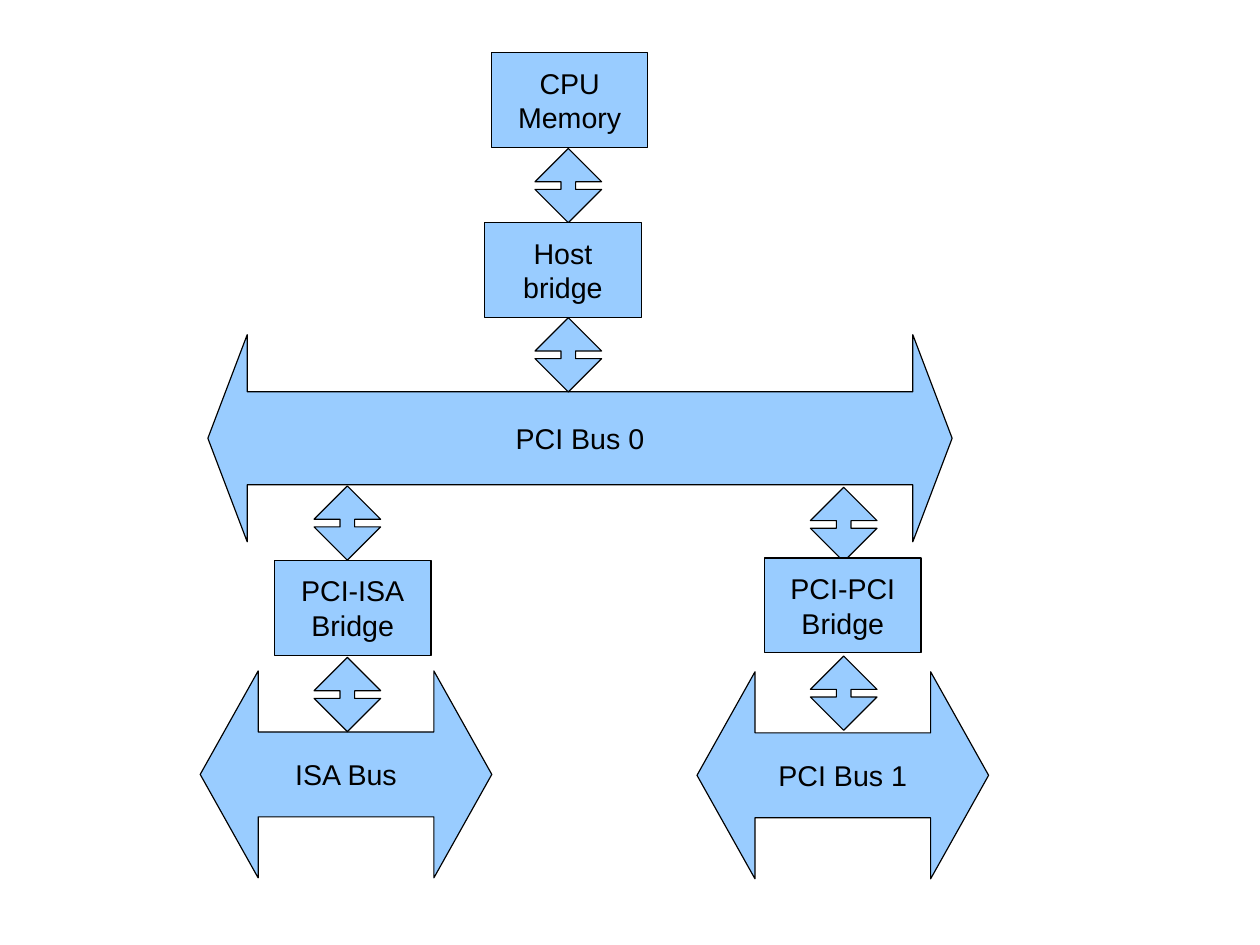
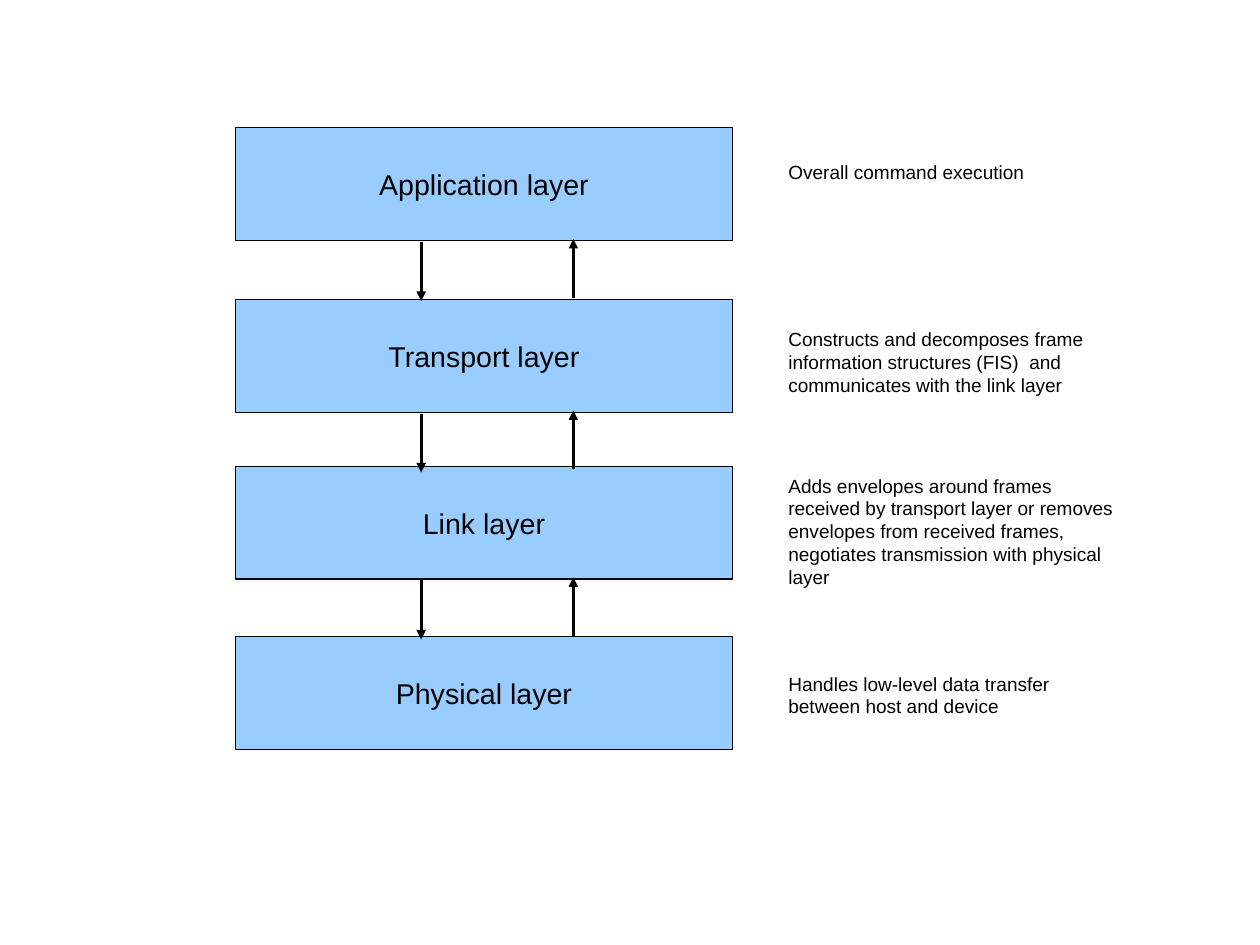
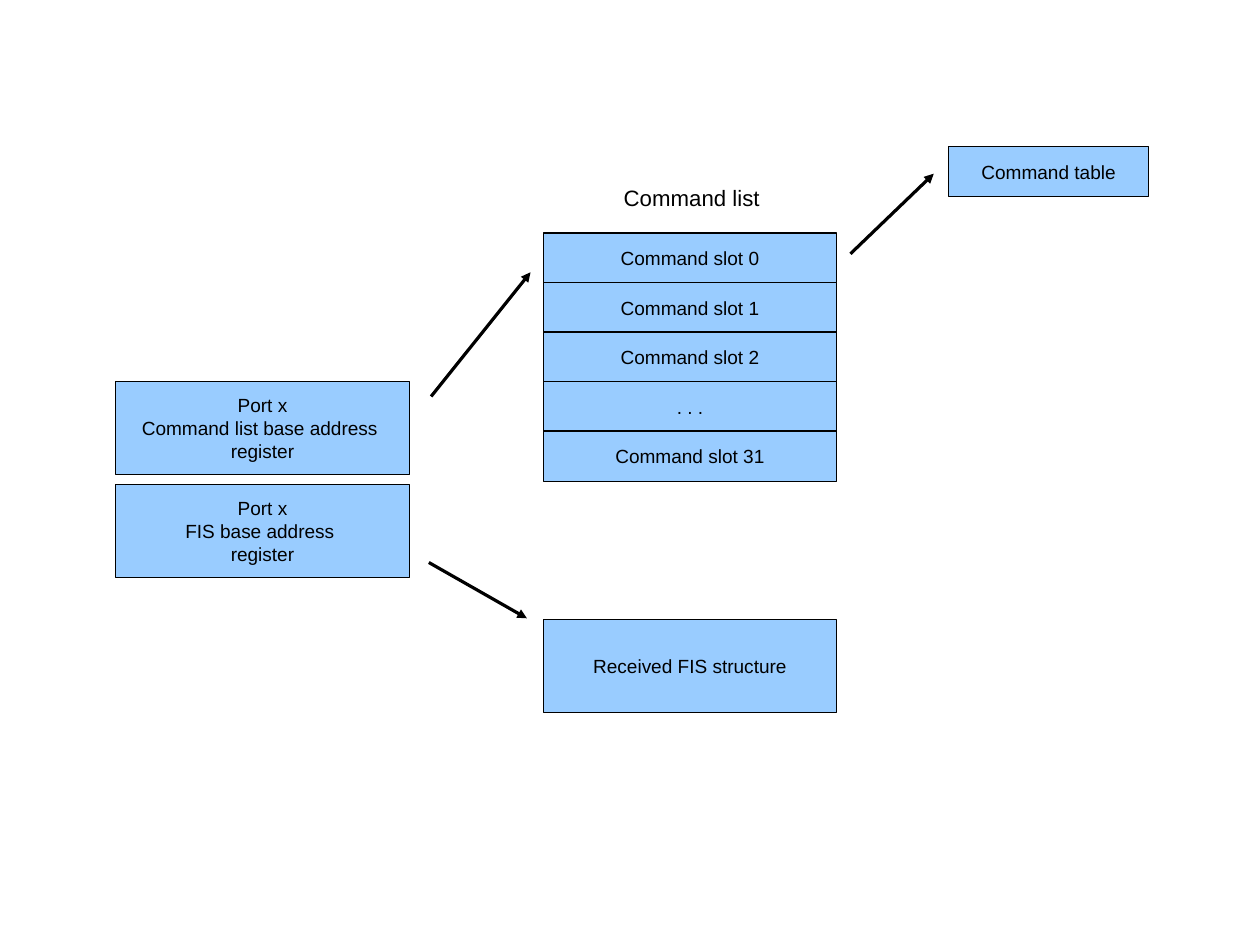
from pptx import Presentation
from pptx.dml.color import RGBColor
from pptx.enum.shapes import MSO_CONNECTOR, MSO_SHAPE
from pptx.enum.text import MSO_ANCHOR, MSO_AUTO_SIZE, PP_ALIGN
from pptx.oxml.ns import qn
from pptx.util import Cm, Pt
from lxml.etree import SubElement

COLORS = {"block": "99CCFF", "ink": "000000"}
FONT = "Arial"

# Bus topology: lengths in cm
BUSES = [  # label, left, top, width, shaft and head proportions
    ("PCI Bus 0", 4.62, 7.44, 16.54, (0.45, 0.19)),
    ("PCI Bus 1", 15.49, 14.93, 6.48, (0.41, 0.28)),
    ("ISA Bus", 4.45, 14.91, 6.48, (0.41, 0.28)),
]
BUS_HEIGHT = 4.6
BRIDGES = [  # label, left, top
    ("CPU\vMemory", 10.92, 1.17),
    ("Host\vbridge", 10.77, 4.95),
    ("PCI-ISA\vBridge", 6.1, 12.45),
    ("PCI-PCI\vBridge", 16.99, 12.4),
]
BRIDGE_SIZE = (3.48, 2.11)
LINKS = [  # left, tops of the arrows above and below a bridge
    (11.89, (3.3, 7.06)),
    (6.98, (10.8, 14.61)),
    (18.01, (10.83, 14.58)),
]
LINK_SIZE = (1.48, 1.65)

# Protocol layers: name, top, description, top of description
LAYERS = [
    ("Application layer", 2.84, "Overall command execution", 3.45),
    ("Transport layer", 6.65,
     "Constructs and decomposes frame information structures (FIS)  and "
     "communicates with the link layer", 7.16),
    ("Link layer", 10.36,
     "Adds envelopes around frames received by transport layer or removes "
     "envelopes from received frames, negotiates transmission with physical "
     "layer", 10.41),
    ("Physical layer", 14.15,
     "Handles low-level data transfer between host and device", 14.81),
]
LAYER_LEFT, LAYER_WIDTH, LAYER_HEIGHT = 5.23, 11.05, 2.51
DOWN_X, UP_X, FLOW_LENGTH = 9.36, 12.74, 1.31

# Port memory structures
REGISTERS = [
    ("Port x\nCommand list base address \nregister", 8.48),
    ("Port x\nFIS base address \nregister", 10.77),
]
SLOTS = ["Command slot 0", "Command slot 1", "Command slot 2", ". . .",
         "Command slot 31"]
REGISTER_LEFT, MEMORY_LEFT, MEMORY_WIDTH = 2.57, 12.07, 6.53
SLOT_TOP, SLOT_PITCH, SLOT_HEIGHT, REGISTER_HEIGHT = 5.18, 1.1, 1.12, 2.06
POINTERS = [
    ((9.58, 8.81), (11.79, 6.05)),
    ((18.9, 5.64), (20.75, 3.86)),
    ((9.53, 12.5), (11.71, 13.74)),
]


def rgb(name):
    return RGBColor.from_string(COLORS[name])


def write(frame, text, size, align):
    frame.text = text
    for paragraph in frame.paragraphs:
        paragraph.alignment = align
        paragraph.font.name = FONT
        paragraph.font.size = Pt(size)
        paragraph.font.color.rgb = rgb("ink")


def add_block(slide, box, text="", size=18, kind=MSO_SHAPE.RECTANGLE,
              proportions=()):
    block = slide.shapes.add_shape(kind, *map(Cm, box))
    block.shadow.inherit = False
    block.fill.solid()
    block.fill.fore_color.rgb = rgb("block")
    block.line.color.rgb = rgb("ink")
    block.line.width = Pt(0)
    for index, value in enumerate(proportions):
        block.adjustments[index] = value
    if text:
        block.text_frame.word_wrap = False
        block.text_frame.vertical_anchor = MSO_ANCHOR.MIDDLE
        write(block.text_frame, text, size, PP_ALIGN.CENTER)


def add_label(slide, box, text, size=12):
    frame = slide.shapes.add_textbox(*map(Cm, box)).text_frame
    frame.word_wrap = True
    frame.auto_size = MSO_AUTO_SIZE.SHAPE_TO_FIT_TEXT
    write(frame, text, size, PP_ALIGN.LEFT)


def add_arrow(slide, start, end):
    arrow = slide.shapes.add_connector(
        MSO_CONNECTOR.STRAIGHT, *map(Cm, (*start, *end)))
    arrow.line.color.rgb = rgb("ink")
    arrow.line.width = Pt(0)
    properties = arrow.element.spPr
    SubElement(properties.find(qn("a:ln")), qn("a:tailEnd"), type="triangle")
    SubElement(properties, qn("a:effectLst"))


def build_topology(slide):
    for label, left, top, width, proportions in BUSES:
        add_block(slide, (left, top, width, BUS_HEIGHT), label,
                  kind=MSO_SHAPE.LEFT_RIGHT_ARROW, proportions=proportions)
    for left, tops in LINKS:
        for top in tops:
            add_block(slide, (left, top, *LINK_SIZE),
                      kind=MSO_SHAPE.UP_DOWN_ARROW, proportions=(0.5, 0.22))
    for label, left, top in BRIDGES:
        add_block(slide, (left, top, *BRIDGE_SIZE), label)


def build_layers(slide):
    for name, top, description, description_top in LAYERS:
        add_block(slide, (LAYER_LEFT, top, LAYER_WIDTH, LAYER_HEIGHT), name)
        add_label(slide, (17.27, description_top, 7.77, 0.74), description)
    # A pair of opposite arrows in each gap
    for _, top, _, _ in LAYERS[:-1]:
        bottom = top + LAYER_HEIGHT
        down, up = bottom + 0.03, bottom - 0.04
        add_arrow(slide, (DOWN_X, down), (DOWN_X, down + FLOW_LENGTH))
        add_arrow(slide, (UP_X, up + FLOW_LENGTH), (UP_X, up))


def build_memory(slide):
    for register, top in REGISTERS:
        add_block(slide, (REGISTER_LEFT, top, MEMORY_WIDTH, REGISTER_HEIGHT),
                  register, 12)
    add_label(slide, (13.61, 3.96, 6.96, 0.81), "Command list", 14)
    for index, slot in enumerate(SLOTS):
        top = SLOT_TOP + index * SLOT_PITCH
        add_block(slide, (MEMORY_LEFT, top, MEMORY_WIDTH, SLOT_HEIGHT),
                  slot, 12)
    add_block(slide, (21.08, 3.25, 4.45, SLOT_HEIGHT), "Command table", 12)
    add_block(slide, (MEMORY_LEFT, 13.77, MEMORY_WIDTH, REGISTER_HEIGHT),
              "Received FIS structure", 12)
    for start, end in POINTERS:
        add_arrow(slide, start, end)


def main():
    deck = Presentation()
    deck.slide_width, deck.slide_height = Cm(28), Cm(21)
    for build in (build_topology, build_layers, build_memory):
        build(deck.slides.add_slide(deck.slide_layouts[6]))
    deck.save("out.pptx")


if __name__ == "__main__":
    main()
